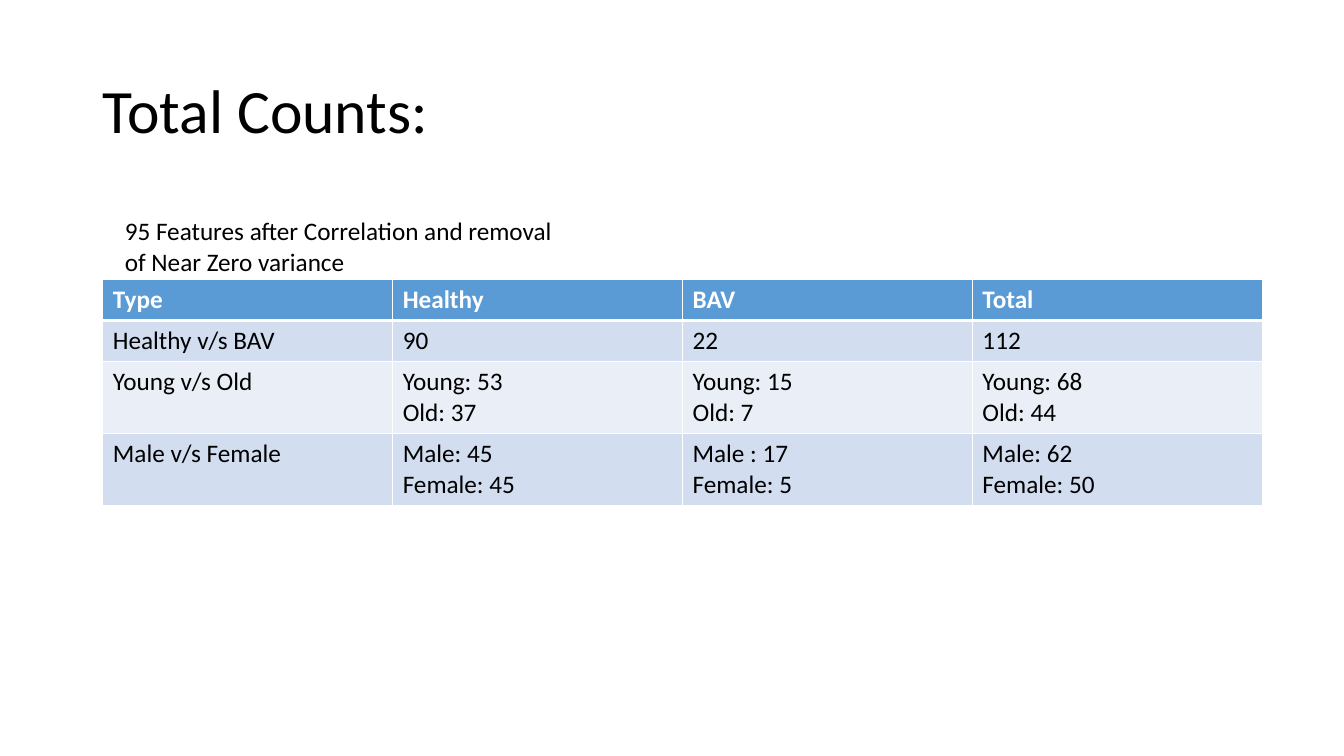
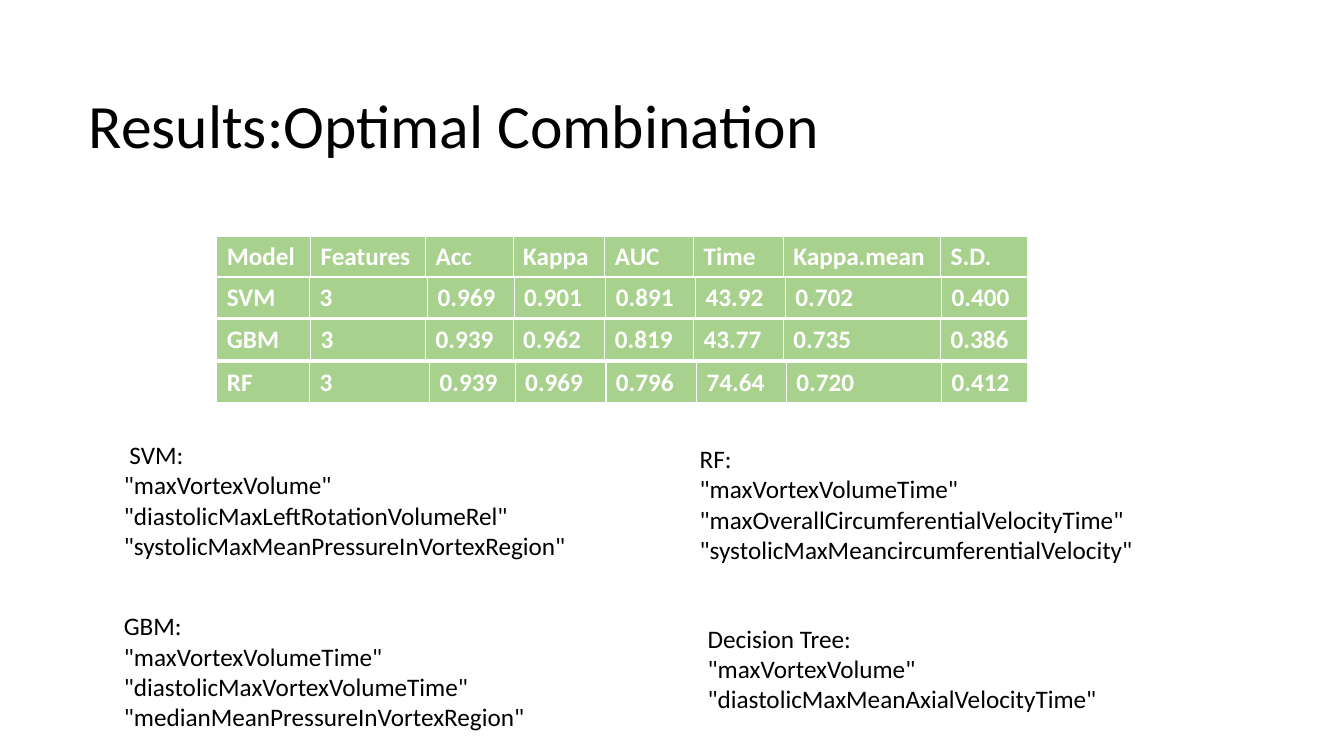
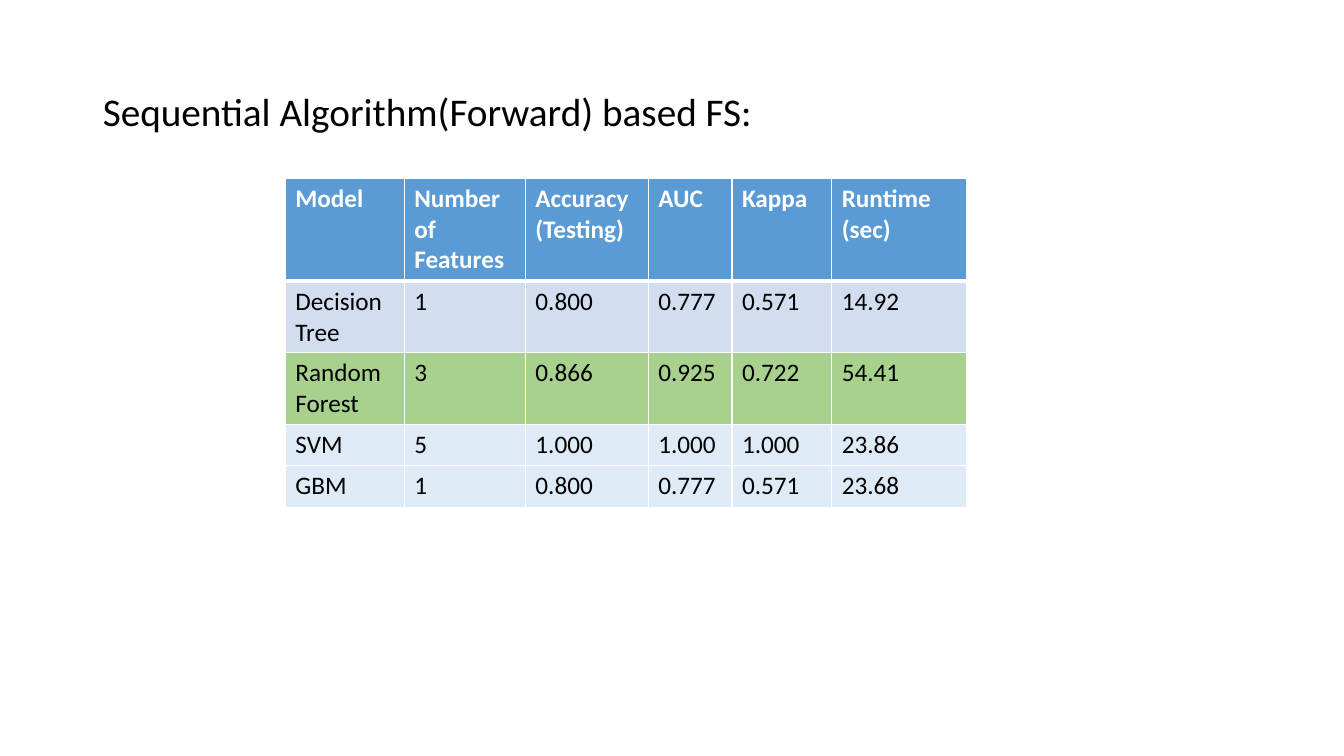
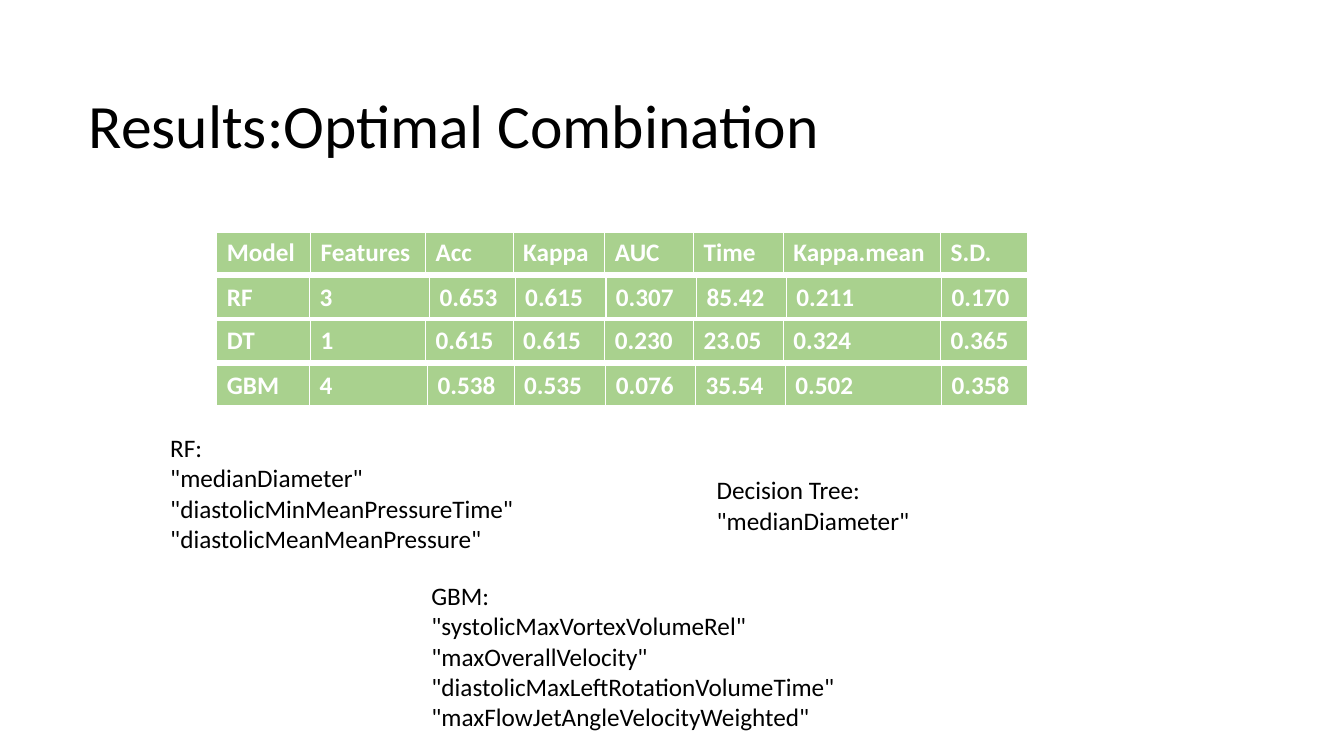
from lxml import etree
from pptx import Presentation
from pptx.dml.color import RGBColor
from pptx.enum.text import MSO_ANCHOR, MSO_AUTO_SIZE, PP_ALIGN
from pptx.oxml.ns import qn
from pptx.util import Inches, Pt

LEFT = PP_ALIGN.LEFT
MIDDLE = MSO_ANCHOR.MIDDLE
NO_AUTOFIT = MSO_AUTO_SIZE.NONE
GROW = MSO_AUTO_SIZE.SHAPE_TO_FIT_TEXT

BLACK = RGBColor(0x00, 0x00, 0x00)
WHITE = RGBColor(0xFF, 0xFF, 0xFF)
BLUE = RGBColor(0x5B, 0x9B, 0xD5)
BAND_DARK = RGBColor(0xD2, 0xDE, 0xEF)
BAND_LIGHT = RGBColor(0xEA, 0xEF, 0xF7)
PALE_BLUE = RGBColor(0xDE, 0xEB, 0xF7)
GREEN = RGBColor(0xA9, 0xD1, 0x8E)

FONT = "Calibri"
TITLE_ONLY = 5
ROW_HEIGHTS = {1: 0.41, 2: 0.71, 3: 1.02}  # inches, by lines of text
THIN, THICK = 1, 3

# Column widths of the one-row result strips
MODEL_COLUMNS = (0.93, 1.14, 0.87, 0.91, 0.88, 0.89, 1.56, 0.86)
SVM_COLUMNS = (0.92, 1.17, 0.86, 0.91, 0.89, 0.89, 1.55, 0.85)
RF_COLUMNS = (0.92, 1.19, 0.85, 0.9, 0.9, 0.89, 1.54, 0.85)
RESULT_HEADER = ("Model", "Features", "Acc", "Kappa", "AUC", "Time", "Kappa.mean", "S.D.")


def add_span(para, text, size=18, color=BLACK, bold=False):
    """Add one formatted run to a paragraph."""
    span = para.add_run()
    span.text = text
    span.font.name = FONT
    span.font.size = Pt(size)
    span.font.bold = bold
    span.font.color.rgb = color


def fill_frame(frame, lines, **style):
    """Write each line as a paragraph of its own."""
    for index, line in enumerate(lines):
        para = frame.paragraphs[0] if index == 0 else frame.add_paragraph()
        add_span(para, line, **style)


def add_page(deck, title, left, top, size=44):
    """Add a slide with a left-aligned title."""
    page = deck.slides.add_slide(deck.slide_layouts[TITLE_ONLY])
    box = page.shapes.title
    box.left, box.top = Inches(left), Inches(top)
    box.width, box.height = Inches(11.5), Inches(1.45)
    frame = box.text_frame
    frame.word_wrap = True
    frame.auto_size = NO_AUTOFIT
    frame.vertical_anchor = MIDDLE
    para = frame.paragraphs[0]
    para.alignment = LEFT
    para.line_spacing = 0.9
    add_span(para, title, size=size)
    return page


def add_text(page, left, top, width, height, lines):
    """Add a wrapping text box."""
    box = page.shapes.add_textbox(Inches(left), Inches(top), Inches(width), Inches(height))
    box.text_frame.word_wrap = True
    box.text_frame.auto_size = GROW
    fill_frame(box.text_frame, lines)


def set_borders(cell, bottom):
    """Draw white borders round a cell; bottom is the lower width in points."""
    properties = cell._tc.get_or_add_tcPr()
    edges = (("a:lnL", THIN), ("a:lnR", THIN), ("a:lnT", THIN), ("a:lnB", bottom))
    for index, (tag, width) in enumerate(edges):
        line = etree.Element(qn(tag), w=str(Pt(width)))
        solid = etree.SubElement(line, qn("a:solidFill"))
        etree.SubElement(solid, qn("a:srgbClr"), val=str(WHITE))
        properties.insert(index, line)


def add_grid(page, left, top, widths, rows, fills, line_counts):
    """Add a table whose first row is a bold white header."""
    heights = [ROW_HEIGHTS[count] for count in line_counts]
    grid = page.shapes.add_table(
        len(rows), len(widths), Inches(left), Inches(top),
        Inches(sum(widths)), Inches(sum(heights))).table
    grid.horz_banding = False
    grid.first_row = False
    for column, width in zip(grid.columns, widths):
        column.width = Inches(width)
    for index, (row, values) in enumerate(zip(grid.rows, rows)):
        row.height = Inches(heights[index])
        header = index == 0
        for cell, value in zip(row.cells, values):
            cell.fill.solid()
            cell.fill.fore_color.rgb = fills[index]
            set_borders(cell, THICK if header else THIN)
            fill_frame(cell.text_frame, value.split("\n"),
                       color=WHITE if header else BLACK, bold=header)


def add_strips(page, strips):
    """Add the green one-row result tables, each as top, widths and values."""
    for top, widths, values in strips:
        add_grid(page, 2.15, top, widths, [values], [GREEN], [1])


def add_counts(deck):
    """Slide with the number of subjects in each group."""
    page = add_page(deck, "Total Counts:", 0.92, 0.4)
    rows = [
        ("Type", "Healthy", "BAV", "Total"),
        ("Healthy v/s BAV", "90", "22", "112"),
        ("Young v/s Old", "Young: 53\nOld: 37", "Young: 15\nOld: 7", "Young: 68\nOld: 44"),
        ("Male v/s Female", "Male: 45\nFemale: 45", "Male : 17\nFemale: 5",
         "Male: 62\nFemale: 50"),
    ]
    add_grid(page, 1.02, 2.77, [11.5 / 4] * 4, rows,
             [BLUE, BAND_DARK, BAND_LIGHT, BAND_DARK], [1, 1, 2, 2])
    add_text(page, 1.14, 2.09, 4.64, 0.71,
             ["95 Features after Correlation and removal of Near Zero variance"])


def add_first_results(deck):
    """Slide with the best combinations for SVM, GBM and RF."""
    page = add_page(deck, "Results:Optimal Combination", 0.78, 0.55)
    add_strips(page, [
        (2.35, MODEL_COLUMNS, RESULT_HEADER),
        (2.75, SVM_COLUMNS,
         ("SVM", "3", "0.969", "0.901", "0.891", "43.92", "0.702", "0.400")),
        (3.17, MODEL_COLUMNS,
         ("GBM", "3", "0.939", "0.962", "0.819", "43.77", "0.735", "0.386")),
        (3.6, RF_COLUMNS,
         ("RF", "3", "0.939", "0.969", "0.796", "74.64", "0.720", "0.412")),
    ])
    add_text(page, 1.13, 4.31, 4.7, 1.31, [
        " SVM:", '"maxVortexVolume"', '"diastolicMaxLeftRotationVolumeRel"',
        '"systolicMaxMeanPressureInVortexRegion"'])
    add_text(page, 6.84, 4.35, 4.55, 1.31, [
        "RF:", '"maxVortexVolumeTime"', '"maxOverallCircumferentialVelocityTime"',
        '"systolicMaxMeancircumferentialVelocity"'])
    add_text(page, 1.13, 6.01, 4.29, 1.31, [
        "GBM:", '"maxVortexVolumeTime"', '"diastolicMaxVortexVolumeTime"',
        '"medianMeanPressureInVortexRegion"'])
    add_text(page, 6.92, 6.13, 4.83, 1.01, [
        "Decision Tree:", '"maxVortexVolume"', '"diastolicMaxMeanAxialVelocityTime"'])


def add_sequential(deck):
    """Slide comparing models after forward selection."""
    page = add_page(deck, "Sequential Algorithm(Forward) based FS:", 0.92, 0.4, size=28)
    rows = [
        ("Model", "Number of Features", "Accuracy (Testing)", "AUC", "Kappa", "Runtime (sec)"),
        ("Decision Tree", "1", "0.800", "0.777", "0.571", "14.92"),
        ("Random Forest", "3", "0.866", "0.925", "0.722", "54.41"),
        ("SVM", "5", "1.000", "1.000", "1.000", "23.86"),
        ("GBM", "1", "0.800", "0.777", "0.571", "23.68"),
    ]
    add_grid(page, 2.83, 1.77, (1.18, 1.2, 1.22, 0.83, 0.99, 1.34), rows,
             [BLUE, BAND_DARK, GREEN, PALE_BLUE, PALE_BLUE], [3, 2, 2, 1, 1])


def add_second_results(deck):
    """Slide with the best combinations for RF, DT and GBM."""
    page = add_page(deck, "Results:Optimal Combination", 0.78, 0.55)
    add_strips(page, [
        (2.31, MODEL_COLUMNS, RESULT_HEADER),
        (2.75, RF_COLUMNS,
         ("RF", "3", "0.653", "0.615", "0.307", "85.42", "0.211", "0.170")),
        (3.18, MODEL_COLUMNS,
         ("DT", "1", "0.615", "0.615", "0.230", "23.05", "0.324", "0.365")),
        (3.63, SVM_COLUMNS,
         ("GBM", "4", "0.538", "0.535", "0.076", "35.54", "0.502", "0.358")),
    ])
    add_text(page, 1.59, 4.24, 5.17, 1.31, [
        "RF:", '"medianDiameter"', '"diastolicMinMeanPressureTime"',
        '"diastolicMeanMeanPressure"'])
    add_text(page, 4.18, 5.71, 4.59, 1.62, [
        "GBM:", '"systolicMaxVortexVolumeRel"', '"maxOverallVelocity"',
        '"diastolicMaxLeftRotationVolumeTime"', '"maxFlowJetAngleVelocityWeighted"'])
    add_text(page, 7.01, 4.66, 4.83, 0.71, ["Decision Tree:", '"medianDiameter"'])


def main():
    """Build the deck and save it."""
    deck = Presentation()
    deck.slide_width, deck.slide_height = Inches(13.33), Inches(7.5)
    add_counts(deck)
    add_first_results(deck)
    add_sequential(deck)
    add_second_results(deck)
    deck.save("out.pptx")


main()
